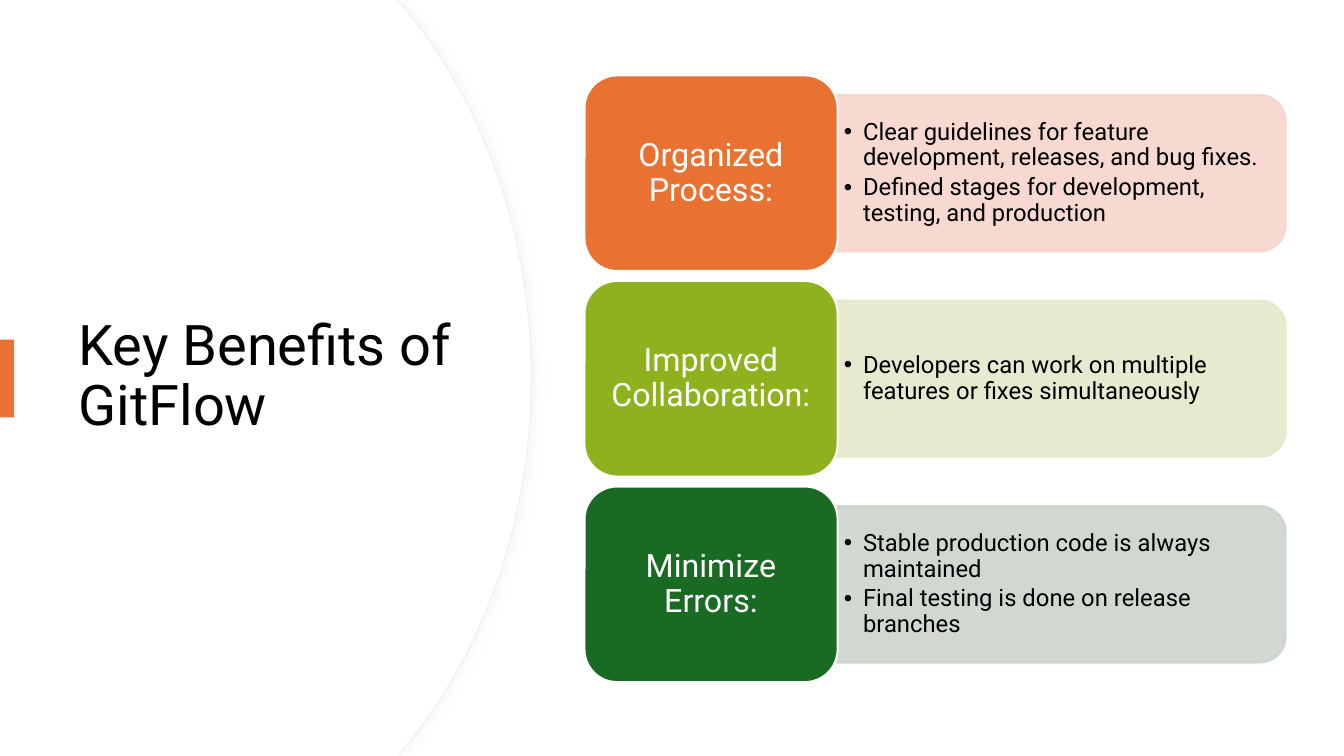
from lxml import etree
from pptx import Presentation
from pptx.dml.color import RGBColor
from pptx.enum import shapes, text
from pptx.oxml.ns import qn
from pptx.util import Cm, Pt

FONT = "Roboto"
COLORS = {
    "white": "FFFFFF", "black": "000000", "edge": "EFEFEF", "shadow": "D9D9D9",
    "orange": "E97132", "pale orange": "F7D5CE",
    "lime": "8EB21E", "pale lime": "E5E8CA",
    "green": "196B24", "pale green": "CCD4CD",
}
BENEFITS = [
    ("Organized Process:", "orange",
     ["Clear guidelines for feature development, releases, and bug fixes.",
      "Defined stages for development, testing, and production"]),
    ("Improved Collaboration:", "lime",
     ["Developers can work on multiple features or fixes simultaneously"]),
    ("Minimize Errors:", "green",
     ["Stable production code is always maintained",
      "Final testing is done on release branches"]),
]
SLIDE_WIDTH, SLIDE_HEIGHT = 33.87, 19.05
FIRST_TOP, ROW_PITCH = 1.9, 5.18
HEADING_LEFT, HEADING_WIDTH, HEADING_HEIGHT = 14.73, 6.38, 4.93
PANEL_LEFT, PANEL_WIDTH, PANEL_HEIGHT = 21.1, 11.3, 3.94
BULLETS_LEFT, BULLETS_WIDTH, BULLETS_HEIGHT = 21.09, 11.13, 3.56
BULLET_INDENT = Cm(0.48)


def rgb(name):
    return RGBColor.from_string(COLORS[name])


def paint(shape, fill, line=None, line_width=1.5):
    shape.shadow.inherit = False
    shape.fill.solid()
    shape.fill.fore_color.rgb = rgb(fill)
    if line:
        shape.line.color.rgb = rgb(line)
        shape.line.width = Pt(line_width)
    else:
        shape.line.fill.background()


def add_box(slide, kind, left, top, width, height, fill, line=None):
    shape = slide.shapes.add_shape(kind, Cm(left), Cm(top), Cm(width), Cm(height))
    paint(shape, fill, line)
    return shape


def make_translucent(shape, percent):
    for color in shape._element.spPr.iter(qn("a:srgbClr")):
        etree.SubElement(color, qn("a:alpha"), val=str(percent * 1000))


def prepare_frame(shape, side, vertical):
    """Centre the text vertically, with the given insets, and return its frame."""
    frame = shape.text_frame
    frame.word_wrap = True
    frame.vertical_anchor = text.MSO_ANCHOR.MIDDLE
    frame.margin_left = frame.margin_right = Cm(side)
    frame.margin_top = frame.margin_bottom = Cm(vertical)
    return frame


def add_run(paragraph, wording, size, color):
    paragraph.line_spacing = 0.9
    run = paragraph.add_run()
    run.text = wording
    run.font.name = FONT
    run.font.size = Pt(size)
    run.font.color.rgb = rgb(color)


def add_text_box(slide, left, top, width, height):
    return slide.shapes.add_textbox(Cm(left), Cm(top), Cm(width), Cm(height))


def add_bullet(paragraph):
    properties = paragraph._p.get_or_add_pPr()
    properties.set("marL", str(BULLET_INDENT))
    properties.set("indent", str(-BULLET_INDENT))
    etree.SubElement(properties, qn("a:buFont"), typeface="Arial")
    etree.SubElement(properties, qn("a:buChar"), char="•")


def bend(segment, controls):
    """Turn a straight segment of a freeform into a cubic curve."""
    segment.tag = qn("a:cubicBezTo")
    for index, (x, y) in enumerate(controls):
        segment.insert(index, segment.makeelement(
            qn("a:pt"), {"x": str(Cm(x)), "y": str(Cm(y))}))


def add_title_backdrop(slide, right, line=None):
    """Draw the white area whose right side bulges out as an arc."""
    edge, corner = 10.01, right - 3.2
    outline = [(edge, 0), (corner, 0.2), (right, SLIDE_HEIGHT / 2),
               (corner, SLIDE_HEIGHT - 0.2), (edge, SLIDE_HEIGHT), (0, SLIDE_HEIGHT)]
    builder = slide.shapes.build_freeform(0, 0)
    builder.add_line_segments([(Cm(x), Cm(y)) for x, y in outline], close=True)
    shape = builder.convert_to_shape()
    controls = [(right - 1.22, 2.59), (right, 5.89)]
    mirrored = [(x, SLIDE_HEIGHT - y) for x, y in reversed(controls)]
    segments = list(shape._element.spPr.iter(qn("a:lnTo")))
    bend(segments[2], controls)
    bend(segments[3], mirrored)
    paint(shape, "white", line, 0.75)
    return shape


def add_soft_shadow(shape):
    effects = shape._element.spPr.find(qn("a:effectLst"))
    shadow = etree.SubElement(effects, qn("a:outerShdw"), blurRad=str(Pt(7)),
                              dist=str(Pt(3)), dir="0", algn="l", rotWithShape="0")
    color = etree.SubElement(shadow, qn("a:srgbClr"), val=COLORS["shadow"])
    etree.SubElement(color, qn("a:alpha"), val="20000")


def add_title(slide, wording):
    frame = prepare_frame(add_text_box(slide, 1.73, 3.23, 10.01, 12.57), 0.25, 0.13)
    add_run(frame.paragraphs[0], wording, 40, "black")


def add_panel(slide, middle, color):
    """Draw a panel rounded on the right: a top-rounded shape turned by 90 degrees."""
    left = PANEL_LEFT + (PANEL_WIDTH - PANEL_HEIGHT) / 2
    panel = add_box(slide, shapes.MSO_SHAPE.ROUND_2_SAME_RECTANGLE, left,
                    middle - PANEL_WIDTH / 2, PANEL_HEIGHT, PANEL_WIDTH, color, color)
    panel.rotation = 90
    make_translucent(panel, 90)


def add_bullets(slide, middle, bullets):
    box = add_text_box(slide, BULLETS_LEFT, middle - BULLETS_HEIGHT / 2,
                       BULLETS_WIDTH, BULLETS_HEIGHT)
    frame = prepare_frame(box, 0.18, 0.1)
    for index, wording in enumerate(bullets):
        paragraph = frame.add_paragraph() if index else frame.paragraphs[0]
        paragraph.space_after = Pt(3)
        add_run(paragraph, wording, 17, "black")
        add_bullet(paragraph)


def add_heading(slide, top, wording, color):
    shape = add_box(slide, shapes.MSO_SHAPE.ROUNDED_RECTANGLE, HEADING_LEFT, top,
                    HEADING_WIDTH, HEADING_HEIGHT, color, "white")
    paragraph = prepare_frame(shape, 0.2, 0.1).paragraphs[0]
    paragraph.alignment = text.PP_ALIGN.CENTER
    add_run(paragraph, wording, 23, "white")


def main():
    presentation = Presentation()
    presentation.slide_width = Cm(SLIDE_WIDTH)
    presentation.slide_height = Cm(SLIDE_HEIGHT)
    slide = presentation.slides.add_slide(presentation.slide_layouts[6])

    add_soft_shadow(add_title_backdrop(slide, 13.39, "edge"))
    add_title_backdrop(slide, 13.36)
    add_title(slide, "Key Benefits of GitFlow")
    add_box(slide, shapes.MSO_SHAPE.RECTANGLE, 0, 8.56, 0.36, 1.96, "orange")

    for row, (heading, color, bullets) in enumerate(BENEFITS):
        top = FIRST_TOP + row * ROW_PITCH
        middle = top + HEADING_HEIGHT / 2
        add_panel(slide, middle, f"pale {color}")
        add_bullets(slide, middle, bullets)
        add_heading(slide, top, heading, color)

    presentation.save("out.pptx")


if __name__ == "__main__":
    main()
